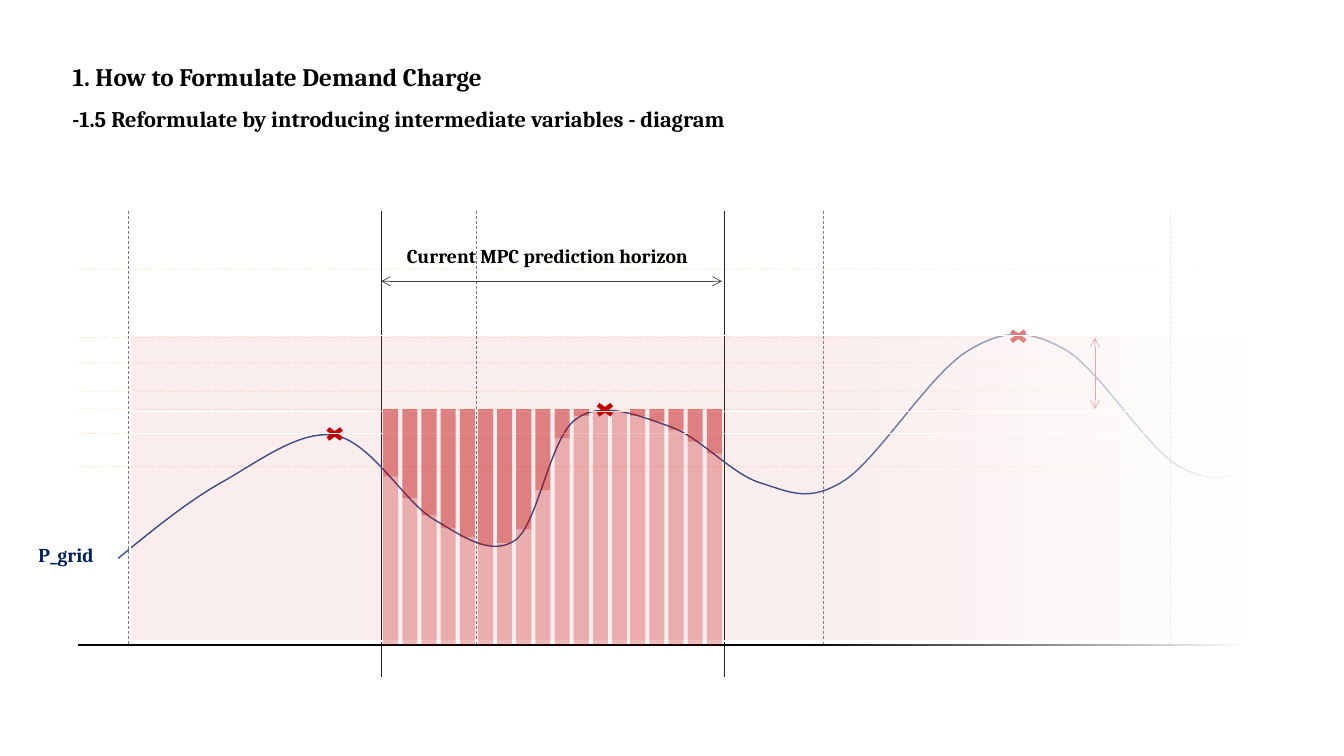
from dataclasses import dataclass

from lxml.etree import SubElement
from pptx import Presentation
from pptx.dml.color import RGBColor
from pptx.enum.dml import MSO_LINE
from pptx.enum.shapes import MSO_CONNECTOR, MSO_SHAPE
from pptx.enum.text import MSO_ANCHOR, MSO_AUTO_SIZE, PP_ALIGN
from pptx.oxml.ns import qn
from pptx.util import Emu, Pt


@dataclass(frozen=True)
class Theme:
    font: str = "Cambria"
    ink: str = "000000"
    white: str = "FFFFFF"
    navy: str = "002060"
    curve: str = "325491"
    red: str = "C00000"
    level: str = "FF9933"
    day_gray: str = "7C7C7C"
    horizon: str = "262626"
    arrow_gray: str = "404040"
    title: int = 18
    subtitle: int = 16
    label: int = 14
    hairline: float = 0.5
    level_line: float = 0.75
    curve_line: float = 1
    axis_line: float = 1.25


THEME = Theme()
EMU_PER_PX = 9144
SLIDE_W, SLIDE_H = 1333, 750
AXIS_LEFT, AXIS_Y, AXIS_RIGHT = 77, 640, 2613
CHART_TOP, PEAK_Y = 209, 406
HORIZON = (378, 718)
BAR_LEFT, BAR_STEP, BAR_W = 380, 18.88, 15
BAR_TOPS = (473, 494, 511, 524, 533, 541, 539, 525, 486,
            435, 413, 408, 408, 413, 418, 427, 439, 450)
LEVELS = (430, 406, 388, 360, 335, 267, 463)
# left, top, width, height
BANDS = ((129, 430, 2409, 206), (129, 408, 2414, 22), (129, 333, 2414, 75))
PEAK_MARKS = ((319, 421), (587, 397), (997, 324))
GRID_BOX = (117, 265, 2438, 289)
GRID_START = (117, 554)
# Cubic segments: two control points and an end point each
GRID_SEGMENTS = (
    ((150, 527), (184, 499), (219, 479)), ((255, 459), (297, 426), (332, 432)),
    ((368, 438), (401, 498), (430, 515)), ((460, 533), (487, 552), (511, 536)),
    ((534, 519), (545, 435), (571, 416)), ((596, 397), (633, 412), (664, 423)),
    ((694, 433), (725, 470), (754, 479)), ((783, 488), (802, 499), (837, 477)),
    ((871, 455), (923, 370), (960, 348)), ((996, 326), (1020, 327), (1055, 346)),
    ((1090, 365), (1137, 445), (1170, 463)), ((1204, 482), (1226, 474), (1256, 457)),
    ((1285, 439), (1316, 365), (1346, 359)), ((1376, 353), (1405, 408), (1436, 420)),
    ((1468, 433), (1496, 460), (1534, 436)), ((1572, 412), (1623, 299), (1662, 276)),
    ((1701, 253), (1734, 272), (1767, 296)), ((1801, 320), (1818, 406), (1863, 421)),
    ((1909, 436), (1979, 371), (2038, 387)), ((2098, 403), (2168, 506), (2221, 518)),
    ((2274, 530), (2300, 464), (2355, 461)), ((2411, 459), (2521, 480), (2555, 502)),
)


def px(n):
    return Emu(round(n * EMU_PER_PX))


def rgb(color):
    return RGBColor.from_string(color)


def set_alpha(parent, percent):
    for color in parent.iter(qn("a:srgbClr")):
        SubElement(color, qn("a:alpha"), val=str(percent * 1000))


def format_text(sp, text, size, color, align):
    tf = sp.text_frame
    tf.word_wrap = True
    tf.auto_size = MSO_AUTO_SIZE.SHAPE_TO_FIT_TEXT
    tf.vertical_anchor = MSO_ANCHOR.TOP
    p = tf.paragraphs[0]
    p.text = text
    p.alignment = align
    p.line_spacing = 1.0
    p.font.name = THEME.font
    p.font.size = Pt(size)
    p.font.bold = True
    p.font.color.rgb = rgb(color)


def add_title(slide, text, left, top, width, height):
    sp = slide.shapes.title
    sp.left, sp.top, sp.width, sp.height = map(px, (left, top, width, height))
    format_text(sp, text, THEME.title, THEME.ink, PP_ALIGN.LEFT)


def add_label(slide, text, box, size=THEME.label, color=THEME.ink, align=PP_ALIGN.CENTER):
    sp = slide.shapes.add_textbox(*map(px, box))
    format_text(sp, text, size, color, align)


def add_line(slide, start, end, color, width, dash=None, alpha=None, arrows=False):
    cn = slide.shapes.add_connector(MSO_CONNECTOR.STRAIGHT, *map(px, start + end))
    cn.line.color.rgb = rgb(color)
    cn.line.width = Pt(width)
    if dash:
        cn.line.dash_style = dash
    ln = cn.line._get_or_add_ln()
    if alpha:
        set_alpha(ln, alpha)
    if arrows:
        for tag in ("a:headEnd", "a:tailEnd"):
            SubElement(ln, qn(tag), type="arrow")
    SubElement(cn._element.spPr, qn("a:effectLst"))


def add_block(slide, box, color, alpha=None, outline=None, kind=MSO_SHAPE.RECTANGLE):
    sp = slide.shapes.add_shape(kind, *map(px, box))
    sp.shadow.inherit = False
    sp.fill.solid()
    sp.fill.fore_color.rgb = rgb(color)
    if alpha:
        set_alpha(sp._element.spPr, alpha)
    if outline:
        sp.line.color.rgb = rgb(outline)
        sp.line.width = Pt(1)
    else:
        sp.line.fill.background()
    return sp


def add_fade(slide, box, opaque_at):
    """Cover a region with white that goes from clear to opaque, left to right."""
    sp = add_block(slide, box, THEME.white)
    sp.fill.gradient()
    sp.fill.gradient_angle = 0
    clear, opaque = sp.fill.gradient_stops
    for stop, position in ((clear, 0), (opaque, opaque_at)):
        stop.color.rgb = rgb(THEME.white)
        stop.position = position
    set_alpha(clear._gs, 0)


def set_cubic_outline(sp, box, start, segments):
    """Replace a freeform's straight outline by cubic segments inside box."""
    left, top, width, height = box
    sp.left, sp.top, sp.width, sp.height = map(px, box)
    outline = next(sp._element.iter(qn("a:path")))
    for child in list(outline):
        outline.remove(child)
    outline.set("w", str(px(width)))
    outline.set("h", str(px(height)))
    for tag, points in [("a:moveTo", (start,))] + [("a:cubicBezTo", s) for s in segments]:
        step = SubElement(outline, qn(tag))
        for x, y in points:
            SubElement(step, qn("a:pt"), x=str(px(x - left)), y=str(px(y - top)))


def add_grid_curve(slide):
    builder = slide.shapes.build_freeform(*map(px, GRID_START))
    builder.add_line_segments([tuple(map(px, GRID_SEGMENTS[-1][-1]))], close=False)
    sp = builder.convert_to_shape()
    set_cubic_outline(sp, GRID_BOX, GRID_START, GRID_SEGMENTS)
    sp.shadow.inherit = False
    sp.fill.background()
    sp.line.color.rgb = rgb(THEME.curve)
    sp.line.width = Pt(THEME.curve_line)


def add_chart_lines(slide):
    for day in range(4):
        x = round(127 + 344.8 * day)
        add_line(slide, (x, CHART_TOP), (x, AXIS_Y), THEME.day_gray,
                 THEME.hairline, MSO_LINE.DASH)
    for x in HORIZON:
        add_line(slide, (x, CHART_TOP), (x, 672), THEME.horizon, THEME.hairline)
    add_line(slide, (AXIS_LEFT, AXIS_Y), (AXIS_RIGHT, AXIS_Y), THEME.ink, THEME.axis_line)


def add_levels_and_bands(slide):
    for y in LEVELS:
        add_line(slide, (AXIS_LEFT, y), (AXIS_RIGHT, y), THEME.level,
                 THEME.level_line, MSO_LINE.LONG_DASH, alpha=16)
    for band in BANDS:
        add_block(slide, band, THEME.red, alpha=7, outline=THEME.white)


def add_horizon_bars(slide):
    bars = [(round(BAR_LEFT + BAR_STEP * i), top) for i, top in enumerate(BAR_TOPS)]
    for x, top in bars:
        add_block(slide, (x, top, BAR_W, AXIS_Y - top), THEME.red, alpha=27)
    for x, top in bars:
        if top > min(BAR_TOPS):
            add_block(slide, (x, PEAK_Y, BAR_W, top - PEAK_Y), THEME.red, alpha=46)


def main():
    prs = Presentation()
    prs.slide_width, prs.slide_height = px(SLIDE_W), px(SLIDE_H)
    slide = prs.slides.add_slide(prs.slide_layouts[5])
    add_title(slide, "1. How to Formulate Demand Charge", 62, 56, 1042, 40)
    add_label(slide, "-1.5 Reformulate by introducing intermediate variables - diagram",
              (62, 99, 1042, 37), THEME.subtitle, align=PP_ALIGN.LEFT)
    add_chart_lines(slide)
    add_grid_curve(slide)
    for x, y in PEAK_MARKS:
        add_block(slide, (x, y, 26, 19), THEME.red, kind=MSO_SHAPE.MATH_MULTIPLY)
    add_levels_and_bands(slide)
    add_line(slide, (1086, 335), (1086, PEAK_Y), THEME.red, THEME.hairline, arrows=True)
    add_fade(slide, (796, 180, 699, 495), opaque_at=0.63)
    add_horizon_bars(slide)
    add_line(slide, (378, 279), (716, 279), THEME.arrow_gray, THEME.hairline, arrows=True)
    add_label(slide, "Current MPC prediction horizon", (144, 237, 798, 34))
    add_label(slide, "P_grid", (19, 534, 93, 34), color=THEME.navy)
    prs.save("out.pptx")


if __name__ == "__main__":
    main()
